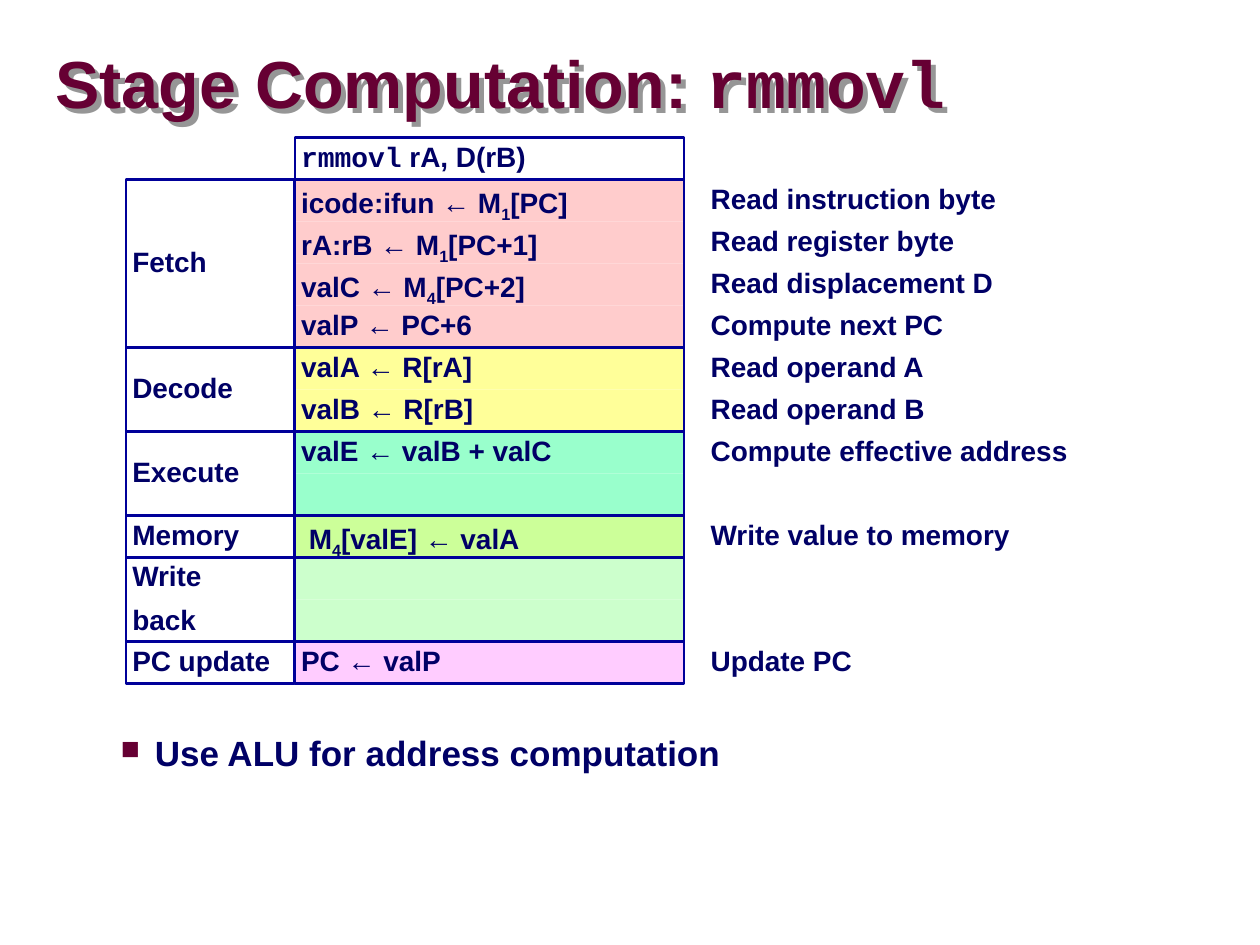
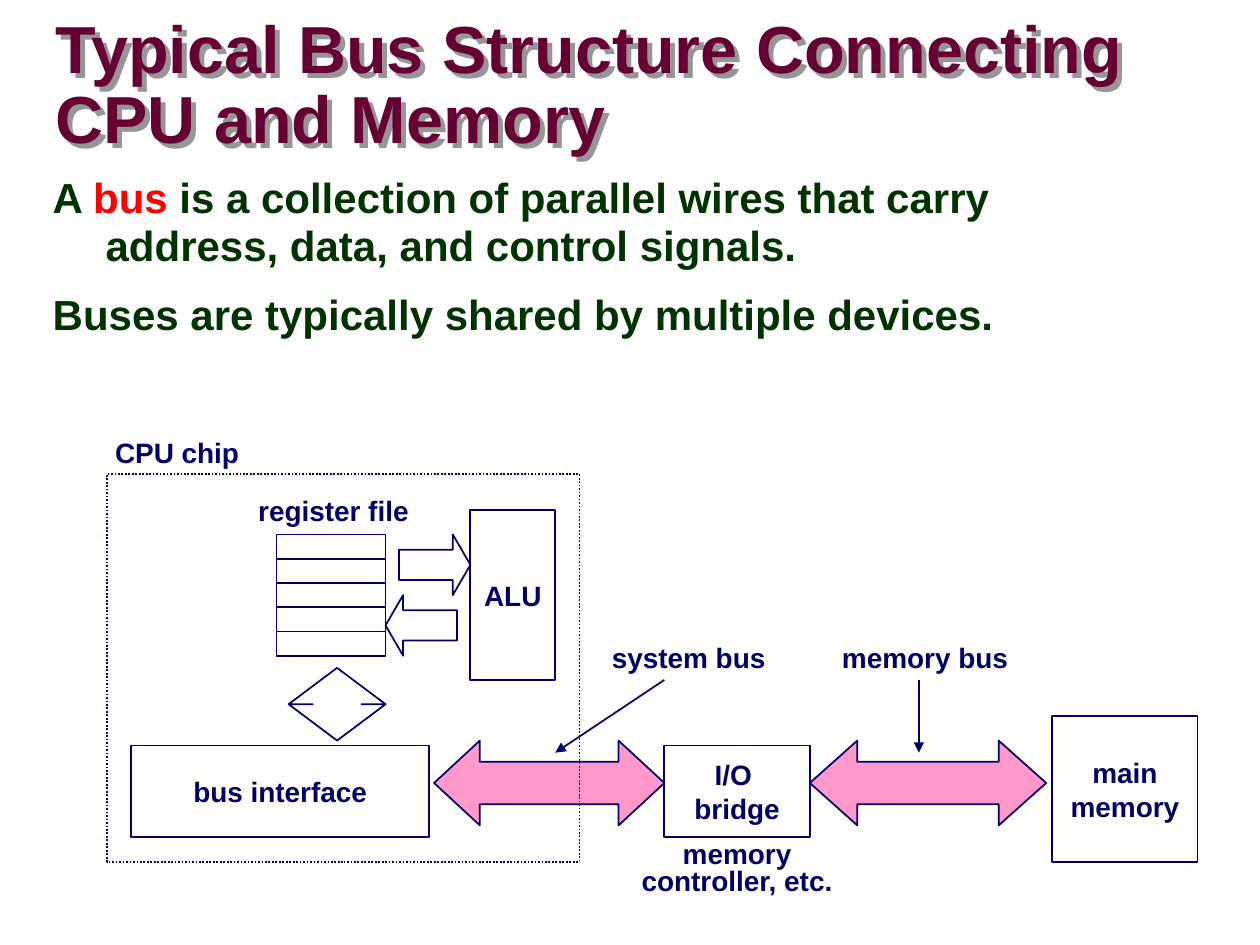
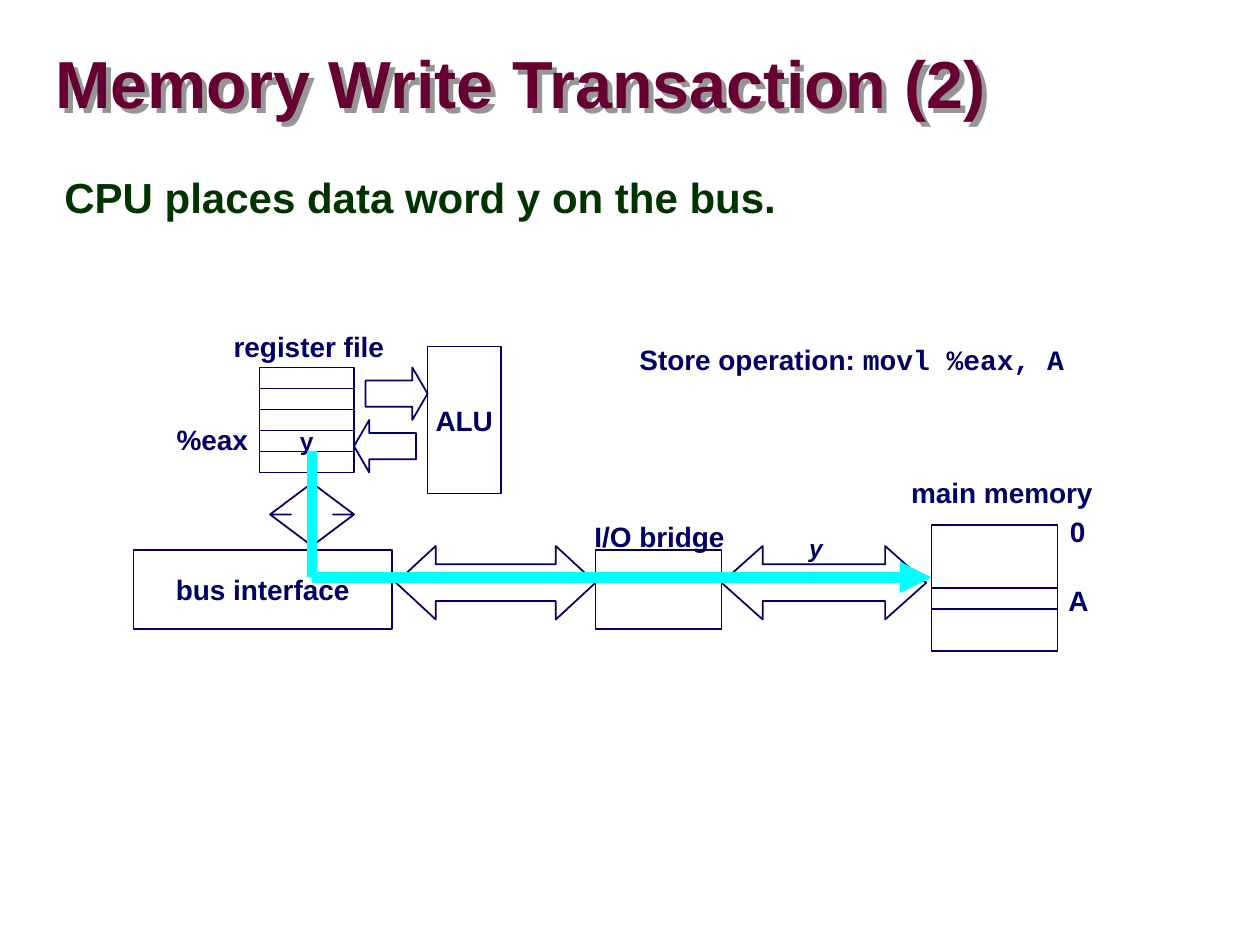
from lxml import etree
from pptx import Presentation, util as u
from pptx.dml.color import RGBColor
from pptx.enum import dml, shapes, text
from pptx.oxml import ns

MAROON = RGBColor(0x66, 0x00, 0x33)
NAVY = RGBColor(0x00, 0x00, 0x66)
BLUE = RGBColor(0x00, 0x00, 0x99)
GREEN = RGBColor(0x00, 0x33, 0x00)
RED = RGBColor(0xFF, 0x00, 0x00)
CYAN = RGBColor(0x00, 0xFF, 0xFF)
PINK = RGBColor(0xFF, 0x99, 0xCC)
WHITE = RGBColor(0xFF, 0xFF, 0xFF)
ROSE = RGBColor(0xFF, 0xCC, 0xCC)
YELLOW = RGBColor(0xFF, 0xFF, 0x99)
AQUA = RGBColor(0x99, 0xFF, 0xCC)
LIME = RGBColor(0xCC, 0xFF, 0x99)
MINT = RGBColor(0xCC, 0xFF, 0xCC)
ORCHID = RGBColor(0xFF, 0xCC, 0xFF)

SANS, MONO = "Arial", "Courier New"
SUB = "subscript"
SHAPE = shapes.MSO_SHAPE
LEFT, CENTER = text.PP_ALIGN.LEFT, text.PP_ALIGN.CENTER
TOP, MIDDLE = text.MSO_ANCHOR.TOP, text.MSO_ANCHOR.MIDDLE

STAGE_TITLE = ["Stage Computation: ", ("rmmovl", MONO)]
INSTRUCTION = [("rmmovl", MONO), " rA, D(rB)"]
STAGES = [
    (["Fetch"], ROSE, [
        (["icode:ifun ← M", ("1", SUB), "[PC]"], "Read instruction byte"),
        (["rA:rB ← M", ("1", SUB), "[PC+1]"], "Read register byte"),
        (["valC ← M", ("4", SUB), "[PC+2]"], "Read displacement D"),
        (["valP ← PC+6"], "Compute next PC")]),
    (["Decode"], YELLOW, [
        (["valA ← R[rA]"], "Read operand A"),
        (["valB ← R[rB]"], "Read operand B")]),
    (["Execute"], AQUA, [
        (["valE ← valB + valC"], "Compute effective address"),
        ([], "")]),
    (["Memory"], LIME, [
        ([" M", ("4", SUB), "[valE] ← valA"], "Write value to memory")]),
    (["Write", "back"], MINT, [([], ""), ([], "")]),
    (["PC update"], ORCHID, [(["PC ← valP"], "Update PC")]),
]
STAGE_NOTE = "Use ALU for address computation"

BUS_TITLE = ["Typical Bus Structure Connecting \vCPU and Memory"]
BUS_BODY = [
    ["A ", ("bus", RED), " is a collection of parallel wires that carry "
     "address, data, and control signals."],
    ["Buses are typically shared by multiple devices."],
]
BUS_LABELS = [
    (["CPU chip"], 3.8, -4.8, 1.19),
    (["system bus"], 46, 12.1, 1.42),
    (["memory bus"], 65.5, 12.1, 1.52),
]
CONTROLLER = ["memory", "controller, etc."]

WRITE_TITLE = ["Memory Write Transaction (2)"]
WRITE_BODY = [[" CPU places data word y on the bus."]]
WRITE_LABELS = [
    (["main memory"], 82.7, 13.9, 1.65),
    (["0"], 89.9, 17.6, 0.32),
    (["A"], 90, 24.2, 0.36),
    (["%eax"], 7.5, 8.8, 0.77),
    (["I/O bridge"], 50.1, 18.05, 1.24),
]
STORE = ["Store operation: ", ("movl %eax, A", MONO)]


def fill_text(sp, paras, size=16, color=NAVY, align=LEFT, anchor=TOP, inset=(0.1, 0.05),
              wrap=True, leading=None, before=0, hang=None):
    tf = sp.text_frame
    tf.word_wrap = wrap
    tf.vertical_anchor = anchor
    tf.margin_left = tf.margin_right = u.Inches(inset[0])
    tf.margin_top = tf.margin_bottom = u.Inches(inset[1])
    for i, runs in enumerate(paras):
        p = tf.paragraphs[0] if i == 0 else tf.add_paragraph()
        p.alignment = align
        if leading:
            p.line_spacing = leading
        if i and before:
            p.space_before = u.Pt(before)
        if hang:
            pPr = p._p.get_or_add_pPr()
            pPr.set("marL", str(u.Inches(hang[0])))
            pPr.set("indent", str(-u.Inches(hang[1])))
        p.font.name, p.font.size, p.font.bold = SANS, u.Pt(size), True
        p.font.color.rgb = color
        for run in [runs] if isinstance(runs, str) else runs:
            words, style = run if isinstance(run, tuple) else (run, None)
            if "\v" in words:
                first, words = words.split("\v")
                p.add_run().text = first
                p.add_line_break()
            r = p.add_run()
            r.text = words
            if style == MONO:
                r.font.name = MONO
            elif style == SUB:
                r._r.get_or_add_rPr().set("baseline", "-25000")
            elif style:
                r.font.color.rgb = style


def add_text(s, x, y, w, h, paras, **style):
    sp = s.shapes.add_textbox(*map(u.Inches, (x, y, w, h)))
    fill_text(sp, paras, **style)
    return sp


def add_box(s, x, y, w, h, kind=SHAPE.RECTANGLE, fill=None, line=NAVY, width=1, adj=()):
    sp = s.shapes.add_shape(kind, *map(u.Inches, (x, y, w, h)))
    sp.shadow.inherit = False
    if fill is None:
        sp.fill.background()
    else:
        sp.fill.solid()
        sp.fill.fore_color.rgb = fill
    if line is None:
        sp.line.fill.background()
    else:
        sp.line.color.rgb = line
        sp.line.width = u.Pt(width)
    for i, value in enumerate(adj):
        sp.adjustments[i] = value
    return sp


def new_slide(prs, title):
    s = prs.slides.add_slide(prs.slide_layouts[6])
    sp = add_text(s, 0.44, 0.27, 9.39, 0.85, [title], size=38, color=MAROON,
                  anchor=MIDDLE, inset=(0, 0), leading=0.87)
    effects = etree.SubElement(sp._element.spPr, ns.qn("a:effectLst"))
    shadow = etree.SubElement(effects, ns.qn("a:outerShdw"), dist="51000", dir="2700000",
                              algn="ctr", rotWithShape="0")
    etree.SubElement(shadow, ns.qn("a:srgbClr"), val="969696")
    return s


def add_body(s, paras):
    add_text(s, 0.32, 1.34, 9.09, 5.71, paras, size=24, color=GREEN,
             leading=0.95, before=12, hang=(0.42, 0.42))


def stage_slide(prs):
    s = new_slide(prs, STAGE_TITLE)
    note = add_text(s, 0.32, 5.76, 9.09, 1.29, [STAGE_NOTE], size=20, hang=(0.81, 0.27))
    pPr = note.text_frame.paragraphs[0]._p.pPr
    color = etree.Element(ns.qn("a:buClr"))
    etree.SubElement(color, ns.qn("a:srgbClr"), val=str(MAROON))
    size = etree.Element(ns.qn("a:buSzPct"), val="75000")
    char = etree.Element(ns.qn("a:buChar"), char="■")
    for i, el in enumerate((color, size, char)):
        pPr.insert(i, el)

    row, stage_x, stage_w, step_x, step_w, about_x = 1 / 3, 1, 1.34, 2.34, 3.09, 5.59
    cell = dict(inset=(0.05, 0.05), leading=0.9, before=8)
    y = 1.09
    fill_text(add_box(s, step_x, y, step_w, row, line=BLUE, width=1.5), [INSTRUCTION], **cell)
    y += row
    for name, fill, steps in STAGES:
        height = row * len(steps)
        single = len(steps) == 1
        for i, (step, about) in enumerate(steps):
            sp = add_box(s, step_x, y + i * row, step_w, row, fill=fill,
                         line=BLUE if single else None, width=1.5)
            if step:
                fill_text(sp, [step], **cell)
                add_text(s, about_x, y + i * row, step_w, row, [about], **cell)
        if not single:
            add_box(s, step_x, y, step_w, height, line=BLUE, width=1.5)
        fill_text(add_box(s, stage_x, y, stage_w, height, line=BLUE, width=1.5),
                  name, anchor=MIDDLE, **cell)
        y += height


class Diagram:
    def __init__(self, s, x, y, unit):
        self.s, self.x, self.y, self.unit = s, x, y, unit

    def at(self, col, row):
        return self.x + col * self.unit, self.y + row * self.unit

    def box(self, col, row, w, h, paras=(), size=16, **look):
        sp = add_box(self.s, *self.at(col, row), w * self.unit, h * self.unit, **look)
        if paras:
            fill_text(sp, paras, size=size, align=CENTER, anchor=MIDDLE, wrap=False)
        return sp

    def label(self, paras, col, row, w, h=0.37, **style):
        x, y = self.at(col, row)
        return add_text(self.s, x - w / 2, y - h / 2, w, h, paras, align=CENTER,
                        anchor=MIDDLE, wrap=False, **style)

    def line(self, start, end, color=NAVY, width=1, arrow=True):
        ends = map(u.Inches, self.at(*start) + self.at(*end))
        c = self.s.shapes.add_connector(shapes.MSO_CONNECTOR.STRAIGHT, *ends)
        c.line.color.rgb = color
        c.line.width = u.Pt(width)
        if arrow:
            etree.SubElement(c.line._get_or_add_ln(), ns.qn("a:tailEnd"), type="triangle")
        etree.SubElement(c._element.spPr, ns.qn("a:effectLst"))

    def computer(self, memory=(), bridge=(), bus_fill=None, interface_fill=None, stored=None):
        double = SHAPE.LEFT_RIGHT_ARROW
        self.box(76, 17, 12, 12, memory)
        self.box(56, 19, 19.5, 7, kind=double, fill=bus_fill, adj=(0.5, 0.56))
        self.box(44, 19.4, 12, 7.55, bridge)
        self.box(25, 19, 19, 7, kind=double, fill=bus_fill, adj=(0.5, 0.54))
        for i in range(5):
            self.box(12, 2 + 2 * i, 9, 2, [stored] if stored and i == 3 else (), size=14)
        self.box(22.1, 2, 5.9, 5, kind=SHAPE.RIGHT_ARROW, adj=(0.5, 0.29))
        self.box(21, 7, 5.9, 5, kind=SHAPE.LEFT_ARROW, adj=(0.5, 0.29))
        self.box(28, 0, 7, 14, ["ALU"])
        self.label(["register file"], 16.7, 0, 1.4)
        self.box(13, 13, 8, 6, kind=SHAPE.UP_DOWN_ARROW, adj=(0.2, 0.5))
        self.box(0, 19.4, 24.6, 7.55, ["bus interface"], fill=interface_fill)


def bus_slide(prs):
    s = new_slide(prs, BUS_TITLE)
    add_body(s, BUS_BODY)
    d = Diagram(s, 1.04, 4.05, 0.0962)
    d.computer(["main", "memory"], ["I/O ", "bridge"], bus_fill=PINK)
    chip = d.box(-2, -3, 39, 32)
    chip.line.dash_style = dml.MSO_LINE.ROUND_DOT
    for label in BUS_LABELS:
        d.label(*label)
    d.label(CONTROLLER, 50, 29.7, 1.73, 0.53, leading=0.8)
    d.line((44, 14), (35, 20))
    d.line((65, 14), (65, 20))


def write_slide(prs):
    s = new_slide(prs, WRITE_TITLE)
    add_body(s, WRITE_BODY)
    d = Diagram(s, 1.06, 2.75, 1 / 12)
    d.computer(interface_fill=WHITE, stored="y")
    word = d.label(["y"], 65, 19.15, 0.31, 0.33, size=14)
    word.text_frame.paragraphs[0].font.italic = True
    d.line((17, 10), (17, 22), CYAN, 6, arrow=False)
    d.line((17, 22), (76, 22), CYAN, 6)
    d.box(76, 23, 12, 2)
    for label in WRITE_LABELS:
        d.label(*label)
    add_text(s, *d.at(47, -1), 3.57, 0.64, [STORE])


def main():
    prs = Presentation()
    prs.slide_width, prs.slide_height = u.Inches(10), u.Inches(7.5)
    stage_slide(prs)
    bus_slide(prs)
    write_slide(prs)
    prs.save("out.pptx")


if __name__ == "__main__":
    main()
